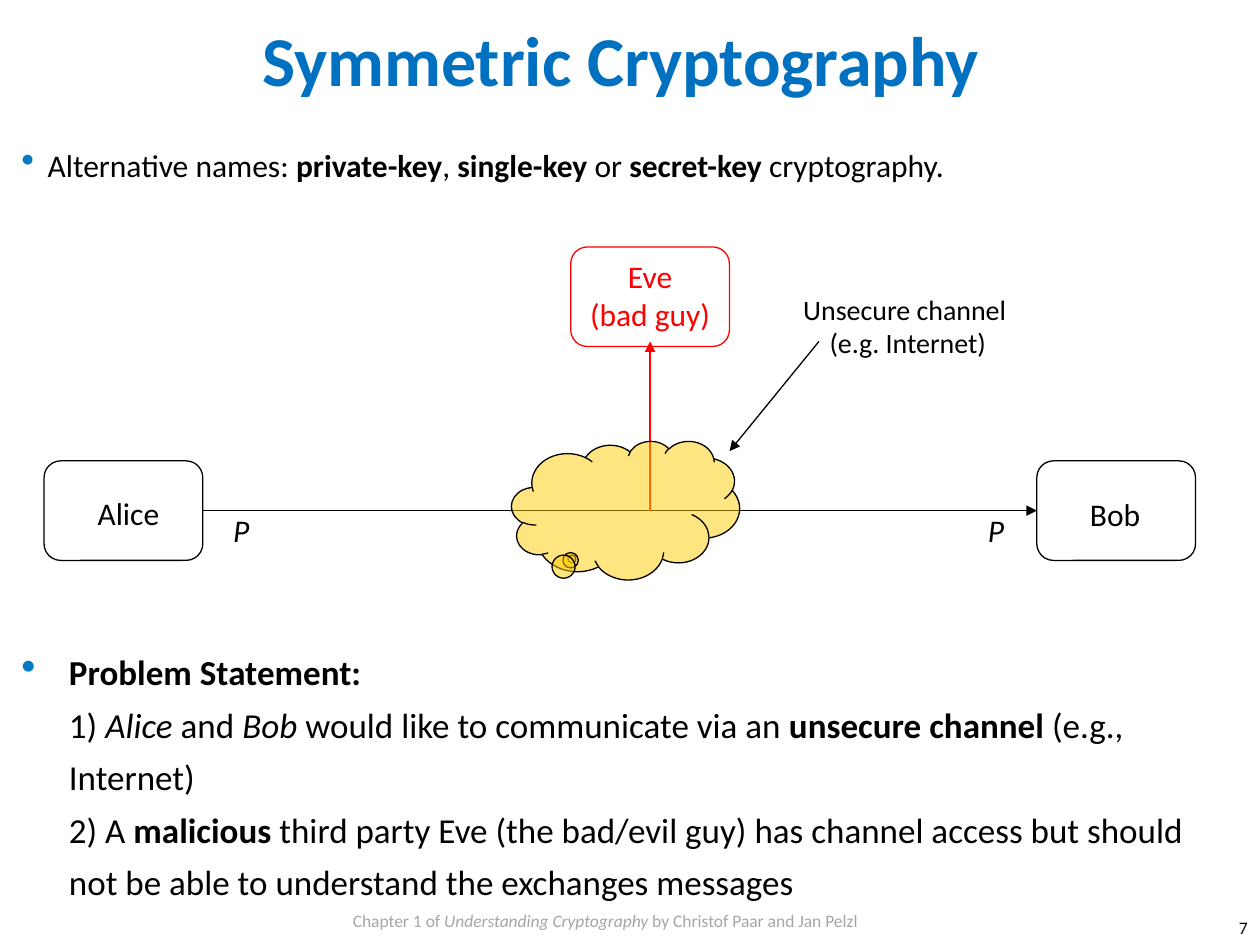
from lxml import etree
from pptx import Presentation
from pptx.dml.color import RGBColor
from pptx.enum.shapes import MSO_CONNECTOR, MSO_SHAPE
from pptx.enum.text import MSO_ANCHOR, PP_ALIGN
from pptx.oxml.ns import qn
from pptx.util import Pt

LEFT, CENTER, RIGHT = PP_ALIGN.LEFT, PP_ALIGN.CENTER, PP_ALIGN.RIGHT
TOP = MSO_ANCHOR.TOP
STRAIGHT = MSO_CONNECTOR.STRAIGHT
ROUNDED, CLOUD = MSO_SHAPE.ROUNDED_RECTANGLE, MSO_SHAPE.CLOUD_CALLOUT

FONT = "Calibri"
BLACK, RED, BLUE = "000000", "FF0000", "0070C0"
BULLET_BLUE, GRAY, YELLOW = "007AC2", "A6A6A6", "FFCC00"
LINE_WIDTH = 0.75
PARTY_WIDTH, PARTY_HEIGHT = 90.7, 56.9
CHANNEL_Y, TAP_X = 291.8, 371.5


def color(hex_string):
    return RGBColor.from_string(hex_string)


def add_child(parent, tag, **values):
    child = etree.SubElement(parent, qn(tag))
    for name, value in values.items():
        child.set(name, value)
    return child


def add_bullet(para, indent):
    """Hang the paragraph behind a coloured bullet."""
    properties = para._p.get_or_add_pPr()
    properties.set("marL", str(Pt(indent)))
    properties.set("indent", str(-Pt(indent)))
    bullet_color = add_child(properties, "a:buClr")
    add_child(bullet_color, "a:srgbClr", val=BULLET_BLUE)
    add_child(properties, "a:buSzPct", val="120000")
    add_child(properties, "a:buChar", char="•")


def add_text(slide, bounds, spans, size=18, ink=BLACK, align=LEFT,
             spacing=1.0, indent=0, wrap=True, margins=(0, 0)):
    """Write (text, style) spans; style letters are b for bold, i for italic."""
    box = slide.shapes.add_textbox(*map(Pt, bounds))
    side, end = map(Pt, margins)
    frame_format = {
        "margin_left": side, "margin_right": side,
        "margin_top": end, "margin_bottom": end,
        "word_wrap": wrap, "vertical_anchor": TOP,
    }
    for name, value in frame_format.items():
        setattr(box.text_frame, name, value)
    para = box.text_frame.paragraphs[0]
    if indent:
        add_bullet(para, indent)
    para.alignment = align
    para.line_spacing = spacing
    for text, style in spans:
        for number, part in enumerate(text.split("\n")):
            if number:
                para.add_line_break()
            if not part:
                continue
            span = para.add_run()
            span.text = part
            span.font.color.rgb = color(ink)
            span_format = {"name": FONT, "size": Pt(size),
                           "bold": "b" in style, "italic": "i" in style}
            for name, value in span_format.items():
                setattr(span.font, name, value)


def add_outline(slide, kind, bounds, adjustments, ink=BLACK):
    shape = slide.shapes.add_shape(kind, *map(Pt, bounds))
    shape.shadow.inherit = False
    shape.fill.background()
    shape.line.color.rgb = color(ink)
    shape.line.width = Pt(LINE_WIDTH)
    for number, value in enumerate(adjustments):
        shape.adjustments[number] = value
    return shape


def add_party(slide, left, top, name, name_left, name_top, name_height=21.6, ink=BLACK):
    add_outline(slide, ROUNDED, (left, top, PARTY_WIDTH, PARTY_HEIGHT), [0.167], ink)
    add_text(slide, (name_left, name_top, 79.2, name_height), [(name, "")],
             ink=ink, align=CENTER)


def add_arrow(slide, start, end, ink=BLACK):
    arrow = slide.shapes.add_connector(STRAIGHT, *map(Pt, start + end))
    arrow.line.color.rgb = color(ink)
    arrow.line.width = Pt(LINE_WIDTH)
    add_child(arrow.line._get_or_add_ln(), "a:tailEnd", type="triangle")
    add_child(arrow._element.spPr, "a:effectLst")


def add_cloud(slide, bounds):
    cloud = add_outline(slide, CLOUD, bounds, [-0.235, 0.352])
    cloud.fill.solid()
    cloud.fill.fore_color.rgb = color(YELLOW)
    fill_color = cloud._element.spPr.find(qn("a:solidFill")).find(qn("a:srgbClr"))
    add_child(fill_color, "a:alpha", val="50000")


def main():
    deck = Presentation()
    deck.slide_width, deck.slide_height = Pt(720), Pt(540)
    page = deck.slides.add_slide(deck.slide_layouts[6])

    # Footer, title and opening bullet
    add_text(page, (201.6, 517.7, 340.6, 20.2), [
        ("Chapter 1 of ", ""), ("Understanding Cryptography", "i"),
        (" by Christof Paar and Jan Pelzl", ""),
    ], size=10, ink=GRAY, spacing=1.2)
    add_text(page, (100.1, 9.5, 509, 40.3), [("Symmetric Cryptography", "b")],
             size=40, ink=BLUE, align=CENTER)
    add_text(page, (12.2, 78, 578.2, 58.3), [
        ("Alternative names: ", ""), ("private-key", "b"), (", ", ""),
        ("single-key ", "b"), ("or ", ""), ("secret-key ", "b"),
        ("cryptography.", ""),
    ], spacing=1.25, indent=15.1)

    # Parties
    party_top = CHANNEL_Y - PARTY_HEIGHT / 2
    add_party(page, 25.2, party_top, "Alice", 33.8, 282.2)
    add_party(page, 592.5, party_top, "Bob", 597.6, 283)
    add_party(page, TAP_X - PARTY_WIDTH / 2, 141.1, "Eve\n(bad guy)",
              331.9, 146.9, 43.2, RED)

    # Channel and wiretap
    add_arrow(page, (115.9, CHANNEL_Y), (592.5, CHANNEL_Y))
    add_arrow(page, (TAP_X, CHANNEL_Y), (TAP_X, 195.1), RED)
    for left in (133.2, 564.5):
        add_text(page, (left, CHANNEL_Y, 9.4, 21.6), [("P", "i")], wrap=False)

    # Cloud and its label
    add_cloud(page, (292.3, 252, 130.3, 79.2))
    add_arrow(page, (468, 195.1), (416.9, 257.8))
    add_text(page, (456.5, 167, 124.6, 38.9),
             [("Unsecure channel \n(e.g. Internet)", "")], size=16, align=CENTER)

    # Problem statement and page number
    add_text(page, (12.2, 365.8, 696.2, 151.2), [
        ("Problem Statement: \n", "b"), ("1) ", ""), ("Alice", "i"),
        (" and ", ""), ("Bob", "i"),
        (" would like to communicate via an ", ""),
        ("unsecure channel ", "b"), ("(e.g., Internet)\n2) A ", ""),
        ("malicious", "b"),
        (" third party Eve (the bad/evil guy) has channel access but should "
         "not be able to understand the exchanges messages", ""),
    ], size=20, spacing=1.25, indent=27.2)
    add_text(page, (689.8, 520.6, 30.2, 17.3), [("7", "")], size=10,
             align=RIGHT, margins=(7.2, 3.6))

    deck.save("out.pptx")


if __name__ == "__main__":
    main()
